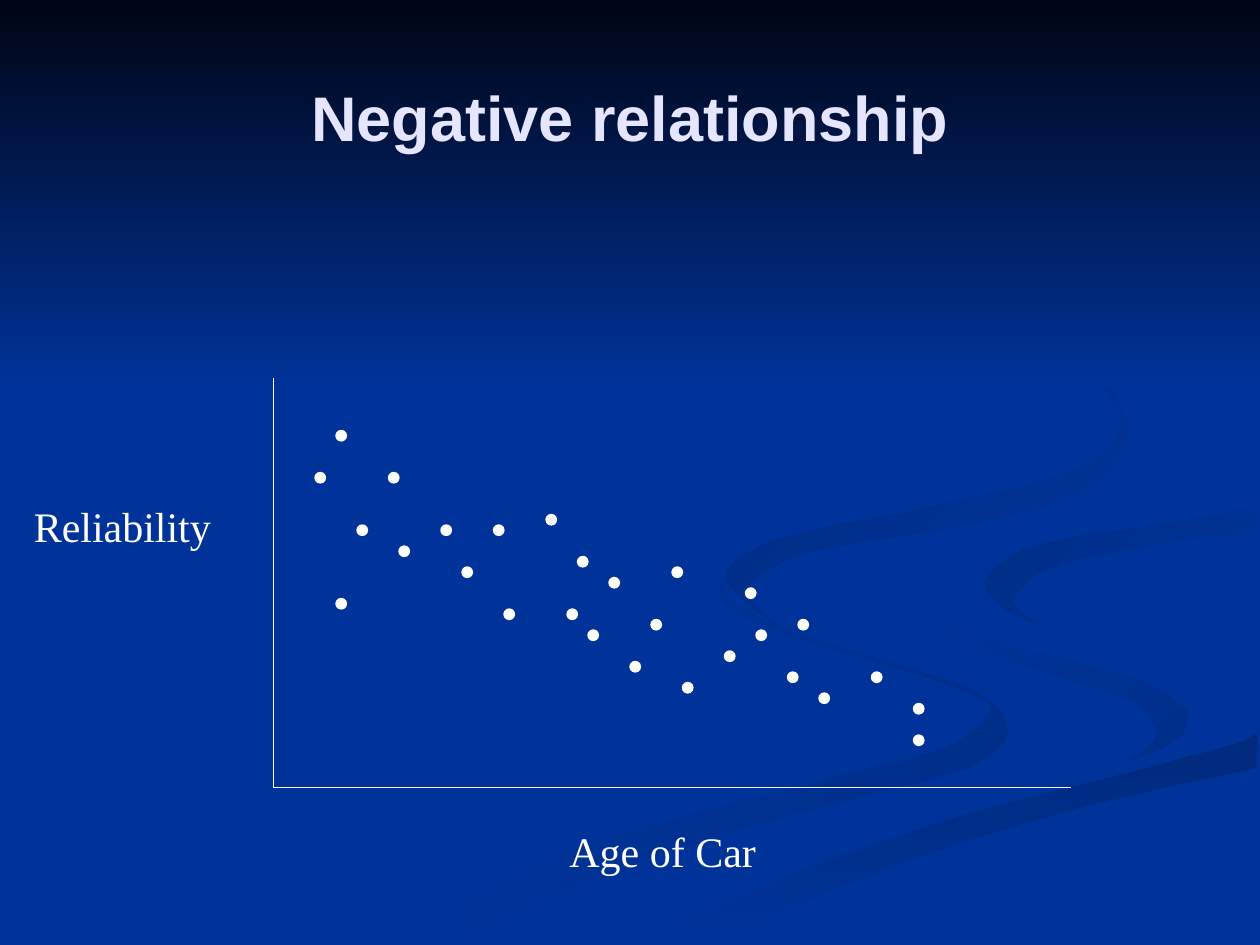
from dataclasses import dataclass
from lxml.etree import SubElement
from pptx import Presentation
from pptx.dml.color import RGBColor
from pptx.enum.shapes import MSO_CONNECTOR, MSO_SHAPE
from pptx.enum.text import MSO_ANCHOR, PP_ALIGN
from pptx.oxml.ns import qn
from pptx.util import Inches, Pt

BLUE = RGBColor(0x00, 0x33, 0x99)
NIGHT = RGBColor(0x00, 0x05, 0x14)
SHADE_LOW = RGBColor(0x00, 0x2E, 0x8B)
SHADE_BAND = RGBColor(0x00, 0x2A, 0x7D)
SHADE_RIGHT = RGBColor(0x00, 0x2D, 0x86)
SHADE_TOP = RGBColor(0x00, 0x2B, 0x82)
WHITE = RGBColor(0xFF, 0xFF, 0xFF)
LAVENDER = RGBColor(0xE5, 0xE5, 0xFF)

SLIDE_W, SLIDE_H = 10, 7.5
FADE_H = 3.08
STEPS_PER_KNOT = 4
UNITS_PER_INCH = 100
DOTS_PER_INCH = 12
ORIGIN_X, ORIGIN_Y = 2.17, 6.25
AXIS_TOP, AXIS_RIGHT = 3, 8.5


@dataclass
class Ribbon:
    start: RGBColor
    end: RGBColor
    angle: int
    edge: list
    opposite_edge: list


LOWER_SWIRL = Ribbon(
    BLUE, SHADE_LOW, 0,
    [(5.75, 4.59), (5.76, 4.69), (6.02, 4.9), (6.61, 5.13), (7.31, 5.33), (7.81, 5.53),
     (8, 5.81), (7.69, 6.09), (6.76, 6.34), (5.64, 6.65), (4.66, 7), (3.61, 7.49)],
    [(5.75, 4.59), (5.72, 4.76), (6.02, 4.95), (6.54, 5.13), (7.28, 5.35), (7.76, 5.53),
     (7.86, 5.66), (7.49, 5.94), (6.52, 6.2), (5.39, 6.49), (4.17, 6.9), (3, 7.49)])
RIGHT_HOOK = Ribbon(
    BLUE, SHADE_LOW, 45,
    [(7.24, 4.64), (7.45, 4.9), (7.92, 5.09), (8.5, 5.24), (9.05, 5.4),
     (9.35, 5.57), (9.43, 5.72), (9.32, 5.89), (8.94, 6.05)],
    [(7.24, 4.64), (7.39, 4.94), (7.81, 5.18), (8.38, 5.36), (8.8, 5.49),
     (9.07, 5.62), (9.18, 5.81), (9.11, 5.93), (8.94, 6.05)])
LOWER_BAND = Ribbon(
    SHADE_BAND, BLUE, 90,
    [(9.98, 5.81), (9.36, 6.02), (8.31, 6.29), (7.64, 6.47), (6.62, 6.81),
     (5.69, 7.19), (5.03, 7.49)],
    [(9.98, 6.09), (9.03, 6.3), (8.21, 6.51), (7.52, 6.72), (6.7, 7.02),
     (6.14, 7.26), (5.71, 7.49)])
RIGHT_CURL = Ribbon(
    SHADE_RIGHT, BLUE, 45,
    [(9.98, 4.02), (9.33, 4.15), (8.65, 4.24), (8.1, 4.37), (7.81, 4.62),
     (7.97, 4.83), (8.26, 4.96)],
    [(9.98, 4.2), (9.36, 4.29), (8.78, 4.39), (8.28, 4.53), (8.05, 4.74),
     (8.12, 4.87), (8.26, 4.96)])
RIGHT_BODY = Ribbon(
    BLUE, BLUE, 0,
    [(9.99, 3.87), (9.2, 4.01), (8.3, 4.15), (7.55, 4.32)] + RIGHT_HOOK.edge[:-1]
    + [(9.02, 6.03), (7.8, 6.34), (6.63, 6.68), (5.73, 7.03), (4.77, 7.49)],
    RIGHT_CURL.edge[:5]
    + [(8.04, 4.85), (8.66, 5.09), (9.41, 5.27), (9.99, 5.38)] + LOWER_BAND.edge)
UPPER_SWIRL = Ribbon(
    SHADE_TOP, BLUE, 45,
    [(7.62, 2.33), (8.43, 2.75), (8.86, 3.16), (8.92, 3.54), (8.55, 3.91),
     (7.64, 4.17), (6.83, 4.3), (6.24, 4.44), (5.93, 4.7), (6.22, 5)],
    [(7.62, 2.33), (8.46, 2.79), (8.85, 3.2), (8.86, 3.48), (8.42, 3.78),
     (7.33, 4.04), (6.49, 4.2), (5.97, 4.37), (5.77, 4.62), (6.22, 5)])
RIBBONS = [LOWER_SWIRL, RIGHT_HOOK, LOWER_BAND, RIGHT_BODY, RIGHT_CURL, UPPER_SWIRL]

DOT_ROWS_BY_COLUMN = {
    30: [45], 32: [41, 57], 34: [50], 37: [45], 38: [52], 42: [50], 44: [54],
    47: [50], 48: [58], 52: [49], 54: [58], 55: [53], 56: [60], 58: [55],
    60: [63], 62: [59], 64: [54], 65: [65], 69: [62], 71: [56], 72: [60],
    75: [64], 76: [59], 78: [66], 83: [64], 87: [67, 70]}


def spline(a, b, c, d, t):
    return (2 * b + (c - a) * t + (2 * a - 5 * b + 4 * c - d) * t ** 2
            + (3 * b - a - 3 * c + d) * t ** 3) / 2


def smooth(knots):
    padded = [knots[0], *knots, knots[-1]]
    points = []
    for window in zip(padded, padded[1:], padded[2:], padded[3:]):
        xs, ys = zip(*window)
        for step in range(STEPS_PER_KNOT):
            t = step / STEPS_PER_KNOT
            points.append((min(spline(*xs, t), SLIDE_W), spline(*ys, t)))
    return points + [knots[-1]]


def paint(sp, start, end, angle=0):
    sp.shadow.inherit = False
    sp.line.fill.background()
    if start == end:
        sp.fill.solid()
        sp.fill.fore_color.rgb = start
        return
    sp.fill.gradient()
    sp.fill.gradient_angle = 360 - angle
    for stop, color in zip(sp.fill.gradient_stops, (start, end)):
        stop.color.rgb = color


def add_ribbon(s, ribbon):
    outline = smooth(ribbon.edge) + smooth(ribbon.opposite_edge)[::-1]
    points = [(round(x * UNITS_PER_INCH), round(y * UNITS_PER_INCH)) for x, y in outline]
    builder = s.shapes.build_freeform(*points[0], scale=Inches(1) / UNITS_PER_INCH)
    builder.add_line_segments(points[1:], close=True)
    paint(builder.convert_to_shape(), ribbon.start, ribbon.end, ribbon.angle)


def add_top_fade(s):
    sp = s.shapes.add_shape(MSO_SHAPE.RECTANGLE, 0, 0, Inches(SLIDE_W), Inches(FADE_H))
    paint(sp, NIGHT, BLUE, 90)


def set_text(tf, text, size=24, font="Times New Roman", color=WHITE,
             bold=False, align=PP_ALIGN.LEFT):
    p = tf.paragraphs[0]
    p.alignment = align
    r = p.add_run()
    r.text = text
    r.font.size = Pt(size)
    r.font.name = font
    r.font.bold = bold
    r.font.color.rgb = color


def add_title(s, text):
    sp = s.shapes.title
    s.shapes._spTree.append(sp._element)
    sp.left, sp.top = Inches(0.5), Inches(0.3)
    sp.width, sp.height = Inches(9), Inches(1.25)
    sp.text_frame.vertical_anchor = MSO_ANCHOR.MIDDLE
    set_text(sp.text_frame, text, size=36, font="Arial", color=LAVENDER,
             bold=True, align=PP_ALIGN.CENTER)


def add_label(s, text, x, y, w):
    sp = s.shapes.add_textbox(Inches(x), Inches(y), Inches(w), Inches(0.5))
    sp.text_frame.word_wrap = False
    set_text(sp.text_frame, text)


def add_axis(s, end_x, end_y):
    ends = [Inches(v) for v in (ORIGIN_X, ORIGIN_Y, end_x, end_y)]
    line = s.shapes.add_connector(MSO_CONNECTOR.STRAIGHT, *ends)
    line.line.color.rgb = WHITE
    line.line.width = Pt(0.75)
    SubElement(line._element.spPr, qn("a:effectLst"))


def add_dot(s, column, row):
    size = Inches(1 / DOTS_PER_INCH)
    sp = s.shapes.add_shape(MSO_SHAPE.OVAL, column * size, row * size, size, size)
    paint(sp, WHITE, WHITE)
    sp.line.color.rgb = WHITE
    sp.line.width = Pt(0.75)


def main():
    prs = Presentation()
    prs.slide_width, prs.slide_height = Inches(SLIDE_W), Inches(SLIDE_H)
    s = prs.slides.add_slide(prs.slide_layouts[5])
    s.background.fill.solid()
    s.background.fill.fore_color.rgb = BLUE
    for ribbon in RIBBONS:
        add_ribbon(s, ribbon)
    add_top_fade(s)
    add_title(s, "Negative relationship")
    add_axis(s, ORIGIN_X, AXIS_TOP)
    add_axis(s, AXIS_RIGHT, ORIGIN_Y)
    add_label(s, "Reliability", 0.17, 3.92, 1.61)
    add_label(s, "Age of Car", 4.42, 6.5, 1.68)
    for column, rows in DOT_ROWS_BY_COLUMN.items():
        for row in rows:
            add_dot(s, column, row)
    prs.save("out.pptx")


if __name__ == "__main__":
    main()
